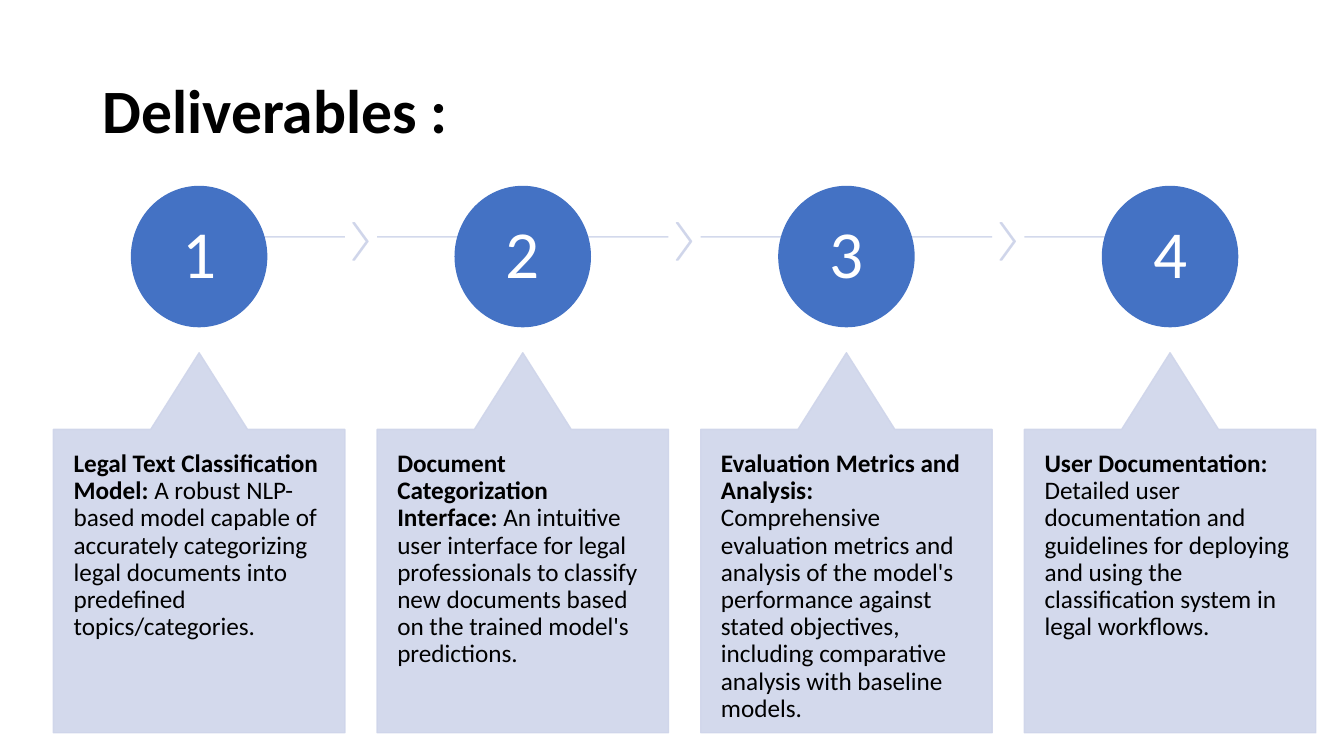
from dataclasses import dataclass
from lxml.etree import SubElement
from pptx import Presentation
from pptx.dml.color import RGBColor
from pptx.enum.shapes import MSO_CONNECTOR, MSO_SHAPE
from pptx.enum.text import MSO_ANCHOR, MSO_AUTO_SIZE, PP_ALIGN
from pptx.oxml.ns import qn
from pptx.util import Inches, Pt


@dataclass(frozen=True)
class Theme:
    font: str = "Calibri"
    ink: RGBColor = RGBColor(0, 0, 0)
    white: RGBColor = RGBColor(255, 255, 255)
    blue: RGBColor = RGBColor(0x44, 0x72, 0xC4)
    pale: RGBColor = RGBColor(0xCF, 0xD5, 0xEA)
    alpha: int = 90
    title: Pt = Pt(44)
    number: Pt = Pt(48)
    body: Pt = Pt(18)


class Board:
    def __init__(self, slide, theme):
        self.slide = slide
        self.theme = theme

    def type(self, para, size, color, bold=None):
        para.line_spacing = 0.9
        font = para.font
        font.name, font.size, font.bold = self.theme.font, size, bold
        font.color.rgb = color

    def fade(self, item):
        for color in item.element.iter(qn("a:srgbClr")):
            SubElement(color, qn("a:alpha"), val=str(self.theme.alpha * 1000))

    def paint(self, shape, color):
        shape.shadow.inherit = False
        shape.fill.solid()
        shape.fill.fore_color.rgb = color
        shape.line.color.rgb = color
        shape.line.width = Pt(1)

    def inset(self, frame, left, top, right, bottom):
        frame.word_wrap = True
        frame.margin_left, frame.margin_top = Inches(left), Inches(top)
        frame.margin_right, frame.margin_bottom = Inches(right), Inches(bottom)

    def title(self, text, left, top, width, height):
        shape = self.slide.shapes.title
        shape.left, shape.top = Inches(left), Inches(top)
        shape.width, shape.height = Inches(width), Inches(height)
        frame = shape.text_frame
        frame.text = text
        frame.auto_size = MSO_AUTO_SIZE.NONE
        frame.vertical_anchor = MSO_ANCHOR.MIDDLE
        para = frame.paragraphs[0]
        para.alignment = PP_ALIGN.LEFT
        self.type(para, self.theme.title, self.theme.ink, True)

    def rule(self, start, end, y):
        line = self.slide.shapes.add_connector(
            MSO_CONNECTOR.STRAIGHT, Inches(start), Inches(y), Inches(end), Inches(y))
        line.line.color.rgb = self.theme.pale
        line.line.width = Pt(1)
        SubElement(line.element.spPr, qn("a:effectLst"))
        self.fade(line)

    def chevron(self, left, top, width, height):
        mark = self.slide.shapes.add_shape(
            MSO_SHAPE.CHEVRON, Inches(left), Inches(top), Inches(width), Inches(height))
        mark.adjustments[0] = 0.9
        self.paint(mark, self.theme.pale)
        self.fade(mark)

    def circle(self, text, center, top, width, height):
        disc = self.slide.shapes.add_shape(
            MSO_SHAPE.OVAL, Inches(center - width / 2), Inches(top),
            Inches(width), Inches(height))
        self.paint(disc, self.theme.blue)
        frame = disc.text_frame
        self.inset(frame, 0.22, 0.22, 0.22, 0.22)
        frame.text = text
        frame.vertical_anchor = MSO_ANCHOR.MIDDLE
        para = frame.paragraphs[0]
        para.alignment = PP_ALIGN.CENTER
        self.type(para, self.theme.number, self.theme.white)

    def card(self, head, text, left, tip, top, width, bottom):
        mid, right, half = left + width / 2, left + width, 0.48
        points = [(mid - half, top), (mid, tip), (mid + half, top),
                  (right, top), (right, bottom), (left, bottom)]
        form = self.slide.shapes.build_freeform(Inches(left), Inches(top))
        form.add_line_segments([(Inches(x), Inches(y)) for x, y in points])
        card = form.convert_to_shape()
        self.paint(card, self.theme.pale)
        self.fade(card)
        frame = card.text_frame
        self.inset(frame, 0.2, 0.97, 0.2, 0.05)
        frame.vertical_anchor = MSO_ANCHOR.TOP
        para = frame.paragraphs[0]
        para.alignment = PP_ALIGN.LEFT
        self.type(para, self.theme.body, self.theme.ink)
        lead = para.add_run()
        lead.text = head + " "
        lead.font.bold = True
        para.add_run().text = text


ITEMS = [
    ("Legal Text Classification Model:",
     "A robust NLP-based model capable of accurately categorizing legal "
     "documents into predefined topics/categories."),
    ("Document Categorization Interface:",
     "An intuitive user interface for legal professionals to classify new "
     "documents based on the trained model's predictions."),
    ("Evaluation Metrics and Analysis:",
     "Comprehensive evaluation metrics and analysis of the model's performance "
     "against stated objectives, including comparative analysis with baseline models."),
    ("User Documentation:",
     "Detailed user documentation and guidelines for deploying and using the "
     "classification system in legal workflows."),
]


def main():
    deck = Presentation()
    deck.slide_width, deck.slide_height = Inches(13.33), Inches(7.5)
    board = Board(deck.slides.add_slide(deck.slide_layouts[5]), Theme())
    board.title("Deliverables :", 0.92, 0.4, 11.5, 1.45)

    # Four steps at an equal pitch
    first, pitch, width = 0.53, 3.21, 2.89
    last = len(ITEMS) - 1
    for i, (head, text) in enumerate(ITEMS):
        left = first + i * pitch
        mid, right = left + width / 2, left + width
        # Track behind the circle, open at both ends of the row
        board.rule(mid + 0.16 if i == 0 else left, mid if i == last else right, 2.35)
        if i < last:
            board.chevron(right + 0.08, 2.21, 0.15, 0.37)
        board.circle(str(i + 1), mid, 1.85, 1.34, 1.39)
        board.card(head, text, left, 3.5, 4.26, width, 7.27)

    deck.save("out.pptx")


if __name__ == "__main__":
    main()
